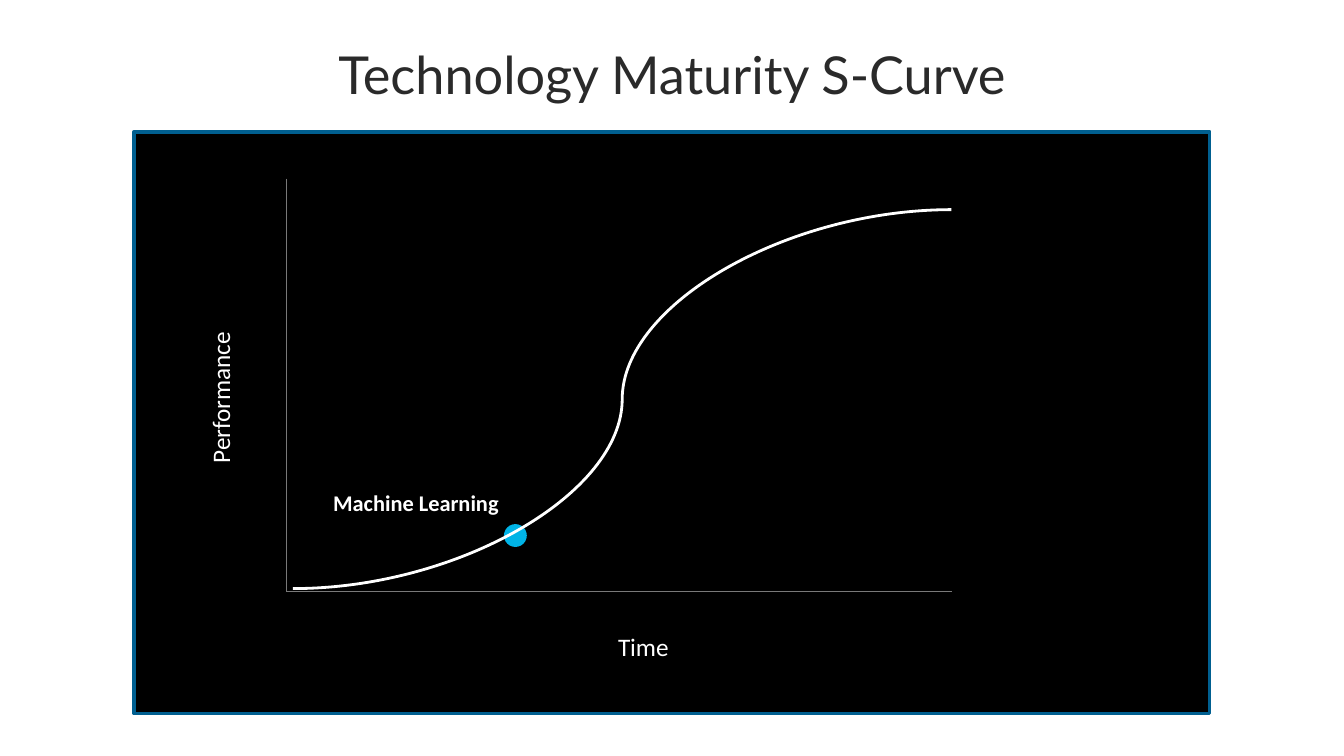
"""Draw the technology maturity S-curve slide on a grid of 100 columns."""
from dataclasses import dataclass, field
from typing import Any

from lxml import etree
from pptx import Presentation, util as u
from pptx.dml.color import RGBColor
from pptx.enum import shapes, text
from pptx.oxml.ns import qn

WIDTH, HEIGHT = u.Inches(10), u.Inches(5.625)
CELL = WIDTH / 100
COLORS = {
    "panel": "000000", "border": "005F90", "marker": "00B3E6",
    "title": "2A2A2A", "label": "FFFFFF", "curve": "FFFFFF", "axis": "797979",
}
LABEL_FRAME = {"word_wrap": False, "auto_size": text.MSO_AUTO_SIZE.SHAPE_TO_FIT_TEXT}
TITLE_FRAME = {"word_wrap": True, "vertical_anchor": text.MSO_ANCHOR.MIDDLE}
AXIS_FONT = {"name": "Calibri", "size": u.Pt(13.5)}
MARKER_FONT = {"name": "Calibri", "size": u.Pt(12), "bold": True}
TITLE_FONT = {"name": "Lato", "size": u.Pt(28)}


@dataclass(frozen=True)
class Area:
    column: float
    row: float
    columns: float
    rows: float


@dataclass(frozen=True)
class Block:
    kind: shapes.MSO_SHAPE
    area: Area
    fill: str
    border: str = ""


@dataclass(frozen=True)
class Stroke:
    kind: shapes.MSO_CONNECTOR
    start: tuple[float, float]
    end: tuple[float, float]
    color: str
    points: float


@dataclass(frozen=True)
class Caption:
    words: str
    area: Area
    font: dict[str, Any]
    color: str = "label"
    rotation: float = 0
    frame: dict[str, Any] = field(default_factory=lambda: LABEL_FRAME)
    align: text.PP_ALIGN = text.PP_ALIGN.LEFT


ORIGIN = (21.3, 44)
AXIS_TOP, AXIS_RIGHT = 13.3, 70.8
LINE, CURVE = shapes.MSO_CONNECTOR.STRAIGHT, shapes.MSO_CONNECTOR.CURVE

BLOCKS = [
    Block(shapes.MSO_SHAPE.RECTANGLE, Area(10, 9.8, 80, 43.3), "panel", "border"),
    Block(shapes.MSO_SHAPE.OVAL, Area(37.5, 39, 1.7, 1.7), "marker"),
]
STROKES = [
    Stroke(CURVE, (21.8, 43.8), (AXIS_RIGHT, 15.6), "curve", 1.5),
    Stroke(LINE, (ORIGIN[0], AXIS_TOP), ORIGIN, "axis", 0.75),
    Stroke(LINE, ORIGIN, (AXIS_RIGHT, ORIGIN[1]), "axis", 0.75),
]
CAPTIONS = [
    Caption("Technology Maturity S-Curve", Area(5, 0.8, 90, 9.4), TITLE_FONT,
            "title", frame=TITLE_FRAME, align=text.PP_ALIGN.CENTER),
    Caption("Machine Learning", Area(23.8, 35.9, 14.5, 3), MARKER_FONT),
    Caption("Performance", Area(10.4, 27.8, 12, 3.3), AXIS_FONT, rotation=270),
    Caption("Time", Area(45, 46.5, 5.8, 3.3), AXIS_FONT),
]


def cells(*counts: float) -> list[int]:
    """Turn grid counts into lengths."""
    return [round(count * CELL) for count in counts]


def place(area: Area) -> list[int]:
    """Return left, top, width and height of an area."""
    return cells(area.column, area.row, area.columns, area.rows)


def color_of(name: str) -> RGBColor:
    """Look up a colour by its role."""
    return RGBColor.from_string(COLORS[name])


def apply_format(target: Any, values: dict[str, Any]) -> None:
    """Set every attribute named in the format values."""
    for name, value in values.items():
        setattr(target, name, value)


def draw_block(page: Any, block: Block) -> None:
    """Draw a filled shape with an optional border."""
    shape = page.shapes.add_shape(block.kind, *place(block.area))
    shape.shadow.inherit = False
    shape.fill.solid()
    shape.fill.fore_color.rgb = color_of(block.fill)
    if block.border:
        shape.line.color.rgb = color_of(block.border)
        shape.line.width = u.Pt(2)
    else:
        shape.line.fill.background()


def draw_stroke(page: Any, stroke: Stroke) -> None:
    """Draw a straight or curved connector without a shadow."""
    line = page.shapes.add_connector(stroke.kind, *cells(*stroke.start, *stroke.end))
    line.line.color.rgb = color_of(stroke.color)
    line.line.width = u.Pt(stroke.points)
    etree.SubElement(line._element.spPr, qn("a:effectLst"))


def draw_caption(page: Any, caption: Caption) -> None:
    """Draw one line of text."""
    box = page.shapes.add_textbox(*place(caption.area))
    box.rotation = caption.rotation
    apply_format(box.text_frame, caption.frame)
    para = box.text_frame.paragraphs[0]
    para.alignment = caption.align
    span = para.add_run()
    span.text = caption.words
    apply_format(span.font, caption.font)
    span.font.color.rgb = color_of(caption.color)


def main() -> None:
    """Build and save the deck."""
    deck = Presentation()
    apply_format(deck, {"slide_width": WIDTH, "slide_height": HEIGHT})
    page = deck.slides.add_slide(deck.slide_layouts[6])
    for items, draw in ((BLOCKS, draw_block), (STROKES, draw_stroke), (CAPTIONS, draw_caption)):
        for item in items:
            draw(page, item)
    deck.save("out.pptx")


if __name__ == "__main__":
    main()
